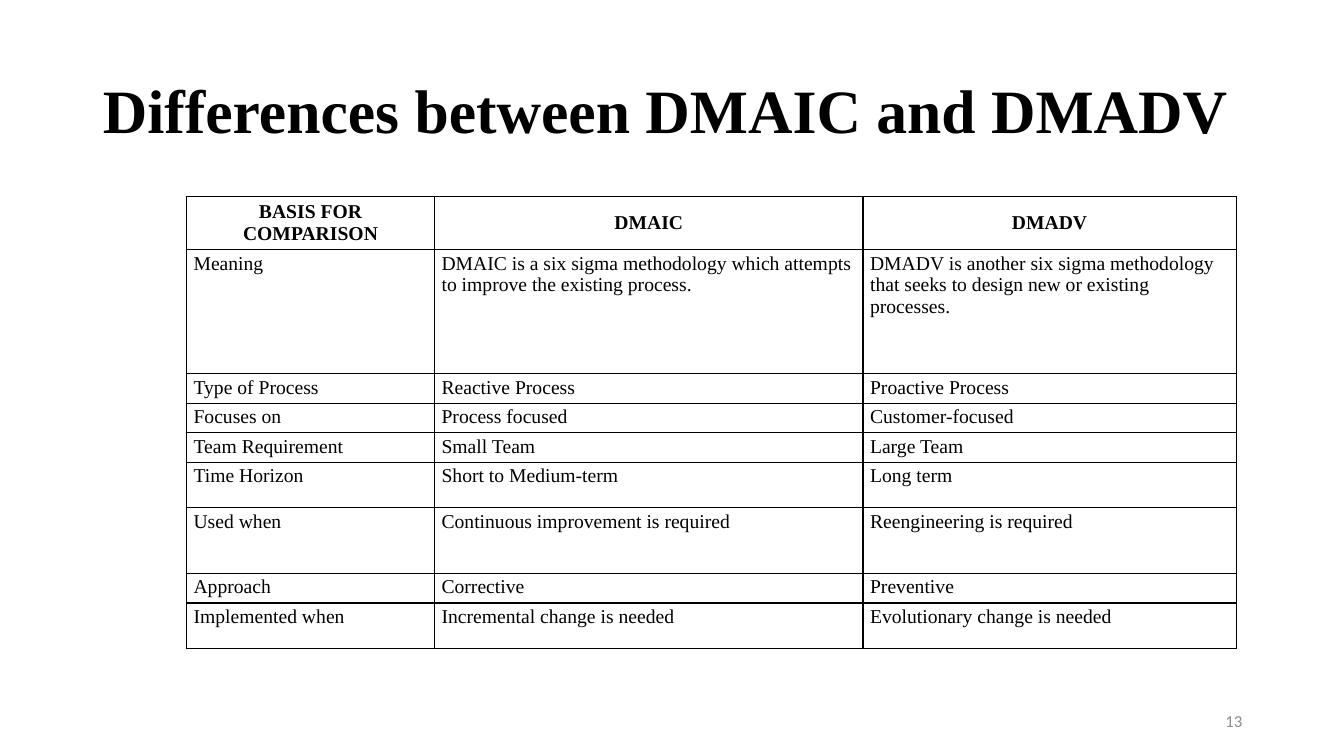
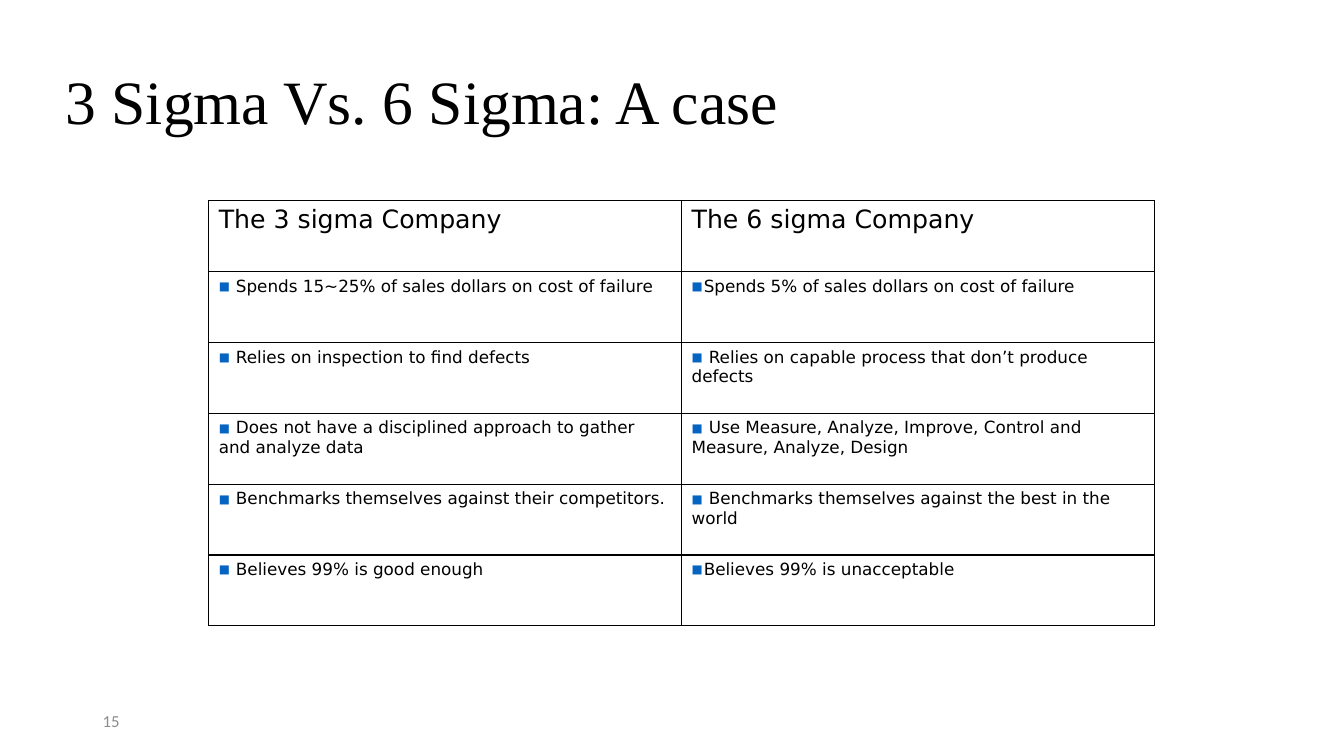
from lxml import etree
from pptx import Presentation
from pptx.dml.color import RGBColor
from pptx.enum import text as txt
from pptx.oxml.ns import qn
from pptx.util import Inches, Pt

# Shared style
BLACK, GREY, BULLET_BLUE = "000000", "8C8C8C", "0563C1"
SERIF, SANS, FOOTER_FONT = "Times New Roman", "DejaVu Sans", "Calibri"
LEFT, CENTER, RIGHT = txt.PP_ALIGN.LEFT, txt.PP_ALIGN.CENTER, txt.PP_ALIGN.RIGHT
TOP, MIDDLE = txt.MSO_ANCHOR.TOP, txt.MSO_ANCHOR.MIDDLE

# Content
METHODS = [
    ("BASIS FOR COMPARISON", "DMAIC", "DMADV"),
    ("Meaning",
     "DMAIC is a six sigma methodology which attempts to improve the existing process.",
     "DMADV is another six sigma methodology that seeks to design new or existing processes."),
    ("Type of Process", "Reactive Process", "Proactive Process"),
    ("Focuses on", "Process focused", "Customer-focused"),
    ("Team Requirement", "Small Team", "Large Team"),
    ("Time Horizon", "Short to Medium-term", "Long term"),
    ("Used when", "Continuous improvement is required", "Reengineering is required"),
    ("Approach", "Corrective", "Preventive"),
    ("Implemented when", "Incremental change is needed", "Evolutionary change is needed"),
]
METHOD_COLUMNS = [2.46, 4.25, 3.7]
METHOD_ROWS = [0.45, 1.23, 0.28, 0.28, 0.28, 0.45, 0.65, 0.28, 0.45]

COMPANIES = [
    ("The 3 sigma Company", "The 6 sigma Company"),
    ("Spends 15~25% of sales dollars on cost of failure",
     "Spends 5% of sales dollars on cost of failure"),
    ("Relies on inspection to find defects",
     "Relies on capable process that don’t produce defects"),
    ("Does not have a disciplined approach to gather and analyze data",
     "Use Measure, Analyze, Improve, Control and Measure, Analyze, Design"),
    ("Benchmarks themselves against their competitors.",
     "Benchmarks themselves against the best in the world"),
    ("Believes 99% is good enough", "Believes 99% is unacceptable"),
]
WIDE_GAP, TIGHT_GAP = 0.17, 0.12
TIGHT_CELLS = {(1, 1), (5, 1)}


def color(value):
    return RGBColor.from_string(value)


def write(paragraph, words, size, font, ink=BLACK, bold=False, align=LEFT):
    paragraph.alignment = align
    run = paragraph.add_run()
    run.text = words
    run.font.size, run.font.name, run.font.bold = Pt(size), font, bold
    run.font.color.rgb = color(ink)


def add_slide(prs, title, box, bold, number, number_left, number_align):
    slide = prs.slides.add_slide(prs.slide_layouts[5])
    heading = slide.shapes.title
    heading.left, heading.top, heading.width, heading.height = map(Inches, box)
    frame = heading.text_frame
    frame.auto_size, frame.vertical_anchor = txt.MSO_AUTO_SIZE.NONE, MIDDLE
    frame.paragraphs[0].line_spacing = 0.9
    write(frame.paragraphs[0], title, 44, SERIF, bold=bold)

    page = slide.shapes.add_textbox(*map(Inches, (number_left, 6.95, 3, 0.4))).text_frame
    page.word_wrap, page.vertical_anchor = True, MIDDLE
    write(page.paragraphs[0], number, 12, FOOTER_FONT, GREY, align=number_align)
    return slide


def outline(cell):
    cell.fill.background()
    props = cell._tc.get_or_add_tcPr()
    for place, side in enumerate("LRTB"):
        line = etree.Element(qn(f"a:ln{side}"), w=str(Pt(1)))
        fill = etree.SubElement(line, qn("a:solidFill"))
        etree.SubElement(fill, qn("a:srgbClr"), val=BLACK)
        props.insert(place, line)


def add_bullet(paragraph, gap):
    props = paragraph._p.get_or_add_pPr()
    props.set("marL", "0")
    props.set("indent", "0")
    tint = etree.SubElement(props, qn("a:buClr"))
    etree.SubElement(tint, qn("a:srgbClr"), val=BULLET_BLUE)
    etree.SubElement(props, qn("a:buSzPct"), val="70000")
    etree.SubElement(props, qn("a:buFont"), typeface=SANS)
    etree.SubElement(props, qn("a:buChar"), char="■")
    tabs = etree.SubElement(props, qn("a:tabLst"))
    etree.SubElement(tabs, qn("a:tab"), pos=str(Inches(gap)), algn="l")


def add_grid(slide, left, top, columns, heights, rows, fill_cell):
    table = slide.shapes.add_table(
        len(rows), len(columns), Inches(left), Inches(top),
        Inches(sum(columns)), Inches(sum(heights))).table
    table.first_row = table.horz_banding = False
    for column, width in zip(table.columns, columns):
        column.width = Inches(width)
    for row, height in zip(table.rows, heights):
        row.height = Inches(height)
    for r, row in enumerate(rows):
        for c, words in enumerate(row):
            cell = table.cell(r, c)
            outline(cell)
            fill_cell(cell, r, c, words)


def method_cell(cell, r, c, words):
    header = r == 0
    cell.margin_left = cell.margin_right = Inches(0.07)
    cell.margin_top = cell.margin_bottom = Inches(0.03)
    cell.vertical_anchor = MIDDLE if header else TOP
    write(cell.text_frame.paragraphs[0], words, 14, SERIF, bold=header,
          align=CENTER if header else LEFT)


def company_cell(cell, r, c, words):
    paragraph = cell.text_frame.paragraphs[0]
    if r == 0:
        write(paragraph, words, 18, SANS)
    else:
        add_bullet(paragraph, TIGHT_GAP if (r, c) in TIGHT_CELLS else WIDE_GAP)
        write(paragraph, "\t" + words, 12, SANS)


def main():
    prs = Presentation()
    prs.slide_width, prs.slide_height = Inches(13.33), Inches(7.5)

    # DMAIC against DMADV
    slide = add_slide(prs, "Differences between DMAIC and DMADV",
                      (0.92, 0.4, 11.5, 1.45), True, "13", 9.42, RIGHT)
    add_grid(slide, 1.85, 1.95, METHOD_COLUMNS, METHOD_ROWS, METHODS, method_cell)

    # 3 sigma against 6 sigma
    slide = add_slide(prs, "3 Sigma Vs. 6 Sigma: A case",
                      (0.55, 0.45, 12.24, 1.17), False, "15", 0.92, LEFT)
    add_grid(slide, 2.07, 1.99, [4.69] * 2, [4.22 / len(COMPANIES)] * len(COMPANIES),
             COMPANIES, company_cell)

    prs.save("out.pptx")


if __name__ == "__main__":
    main()
